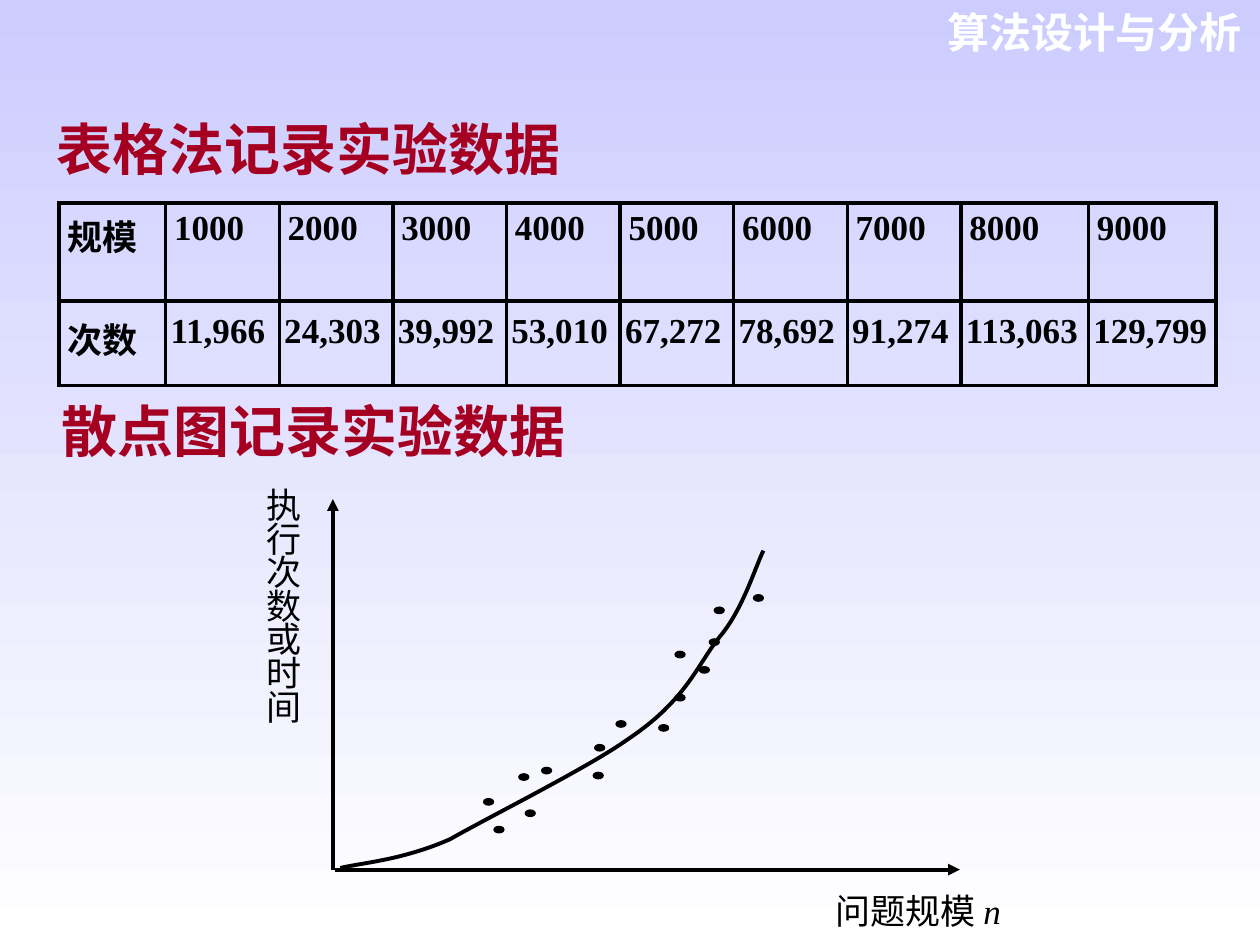
import pptx
import pptx.util
import pptx.dml.color
import pptx.enum.shapes
import pptx.enum.text
import pptx.oxml
import pptx.oxml.ns
from pptx.util import Cm

# Content
COLORS = {"black": "000000", "red": "A50021", "white": "FFFFFF", "lavender": "CCCCFF"}
SANS, SERIF = "Arial", "Times New Roman"
COURSE = "算法设计与分析"
HEADINGS = [("表格法记录实验数据", 0.89, 2.18), ("散点图记录实验数据", 0.99, 7.85)]
TABLE_ROWS = [
    ["规模", "1000", "2000", "3000", "4000", "5000", "6000", "7000", "8000", "9000"],
    ["次数", "11,966", "24,303", "39,992", "53,010", "67,272", "78,692", "91,274",
     "113,063", "129,799"],
]
Y_LABEL = "执行次数或时间"

# Geometry in centimetres
COLUMN_WIDTHS = [2.15] + [2.29] * 7 + [2.57] * 2
ROW_HEIGHTS = [1.98, 1.70]
ROW_TOP_MARGINS = [0.13, 0.23]
ROW_LEFT_MARGINS = [0.17, 0.10]
AXES = [(6.76, 17.53, 19.35, 17.53), (6.71, 17.53, 6.71, 10.06)]
DOT_WIDTH, DOT_HEIGHT = 0.20, 0.13
DOTS = [(9.96, 16.66), (9.75, 16.10), (12.42, 14.53), (10.59, 16.33), (11.96, 15.57),
        (13.28, 14.61), (13.61, 14.00), (13.61, 13.13), (14.40, 12.24), (15.19, 11.99),
        (14.30, 12.88), (14.10, 13.44), (10.92, 15.47), (10.46, 15.60), (11.99, 15.01)]
CURVE_START = (6.86, 17.50)
CURVE_SEGMENTS = [  # two control points and an end point each
    ((7.24, 17.40), (8.10, 17.35), (9.07, 16.92)),
    ((10.03, 16.38), (11.86, 15.47), (12.65, 14.91)),
    ((13.84, 14.12), (14.05, 13.41), (14.50, 12.85)),
    ((14.96, 12.32), (15.21, 11.48), (15.39, 11.10)),
]
CURVE_STEPS = 16


def color(name):
    return pptx.dml.color.RGBColor.from_string(COLORS[name])


def add_run(paragraph, text, size, font=SANS, color_name="black", bold=False, italic=False):
    run = paragraph.add_run()
    run.text = text
    run.font.size = pptx.util.Pt(size)
    run.font.name = font
    run.font.bold = bold
    run.font.italic = italic
    run.font.color.rgb = color(color_name)


def add_text_frame(slide, left, top, width, height, margins=(0.25, 0.13)):
    frame = slide.shapes.add_textbox(Cm(left), Cm(top), Cm(width), Cm(height)).text_frame
    frame.word_wrap = True
    frame.margin_left = frame.margin_right = Cm(margins[0])
    frame.margin_top = frame.margin_bottom = Cm(margins[1])
    return frame


def set_line(shape, width=2.25):
    shape.line.color.rgb = color("black")
    shape.line.width = pptx.util.Pt(width)


def add_borders(cell):
    properties = cell._tc.get_or_add_tcPr()
    for index, side in enumerate(("lnL", "lnR", "lnT", "lnB")):
        properties.insert(index, pptx.oxml.parse_xml(
            f'<a:{side} {pptx.oxml.ns.nsdecls("a")} w="{pptx.util.Pt(2.25)}"><a:solidFill>'
            f'<a:srgbClr val="{COLORS["black"]}"/></a:solidFill></a:{side}>'))


def add_data_table(slide):
    table = slide.shapes.add_table(
        len(TABLE_ROWS), len(COLUMN_WIDTHS), Cm(1.19), Cm(4.09),
        Cm(sum(COLUMN_WIDTHS)), Cm(sum(ROW_HEIGHTS))).table
    table.first_row = table.horz_banding = False
    for column, width in zip(table.columns, COLUMN_WIDTHS):
        column.width = Cm(width)
    for row_index, texts in enumerate(TABLE_ROWS):
        table.rows[row_index].height = Cm(ROW_HEIGHTS[row_index])
        for column_index, text in enumerate(texts):
            cell = table.cell(row_index, column_index)
            cell.fill.background()
            cell.margin_left = Cm(ROW_LEFT_MARGINS[row_index if column_index else 0])
            cell.margin_right = cell.margin_bottom = Cm(0)
            cell.margin_top = Cm(ROW_TOP_MARGINS[row_index])
            add_run(cell.text_frame.paragraphs[0], text, 20, SERIF, bold=True)
            add_borders(cell)


def add_axis(slide, start_x, start_y, end_x, end_y):
    axis = slide.shapes.add_connector(
        pptx.enum.shapes.MSO_CONNECTOR.STRAIGHT,
        Cm(start_x), Cm(start_y), Cm(end_x), Cm(end_y))
    set_line(axis)
    namespace = pptx.oxml.ns.nsdecls("a")
    axis.line._get_or_add_ln().append(
        pptx.oxml.parse_xml(f'<a:tailEnd {namespace} type="triangle"/>'))
    axis._element.spPr.append(pptx.oxml.parse_xml(f"<a:effectLst {namespace}/>"))


def curve_points():
    start = CURVE_START
    for first, second, end in CURVE_SEGMENTS:
        for step in range(1, CURVE_STEPS + 1):
            t = step / CURVE_STEPS
            yield tuple(
                Cm((1 - t) ** 3 * a + 3 * (1 - t) ** 2 * t * b + 3 * (1 - t) * t ** 2 * c
                   + t ** 3 * d)
                for a, b, c, d in zip(start, first, second, end))
        start = end


def add_scatter_sketch(slide):
    for axis in AXES:
        add_axis(slide, *axis)

    # Vertical axis label, one character per line
    frame = add_text_frame(slide, 5.38, 9.91, 0.89, 7.49, margins=(0, 0))
    for index, character in enumerate(Y_LABEL):
        paragraph = frame.add_paragraph() if index else frame.paragraphs[0]
        paragraph.line_spacing = 0.8
        add_run(paragraph, character, 20)

    # Sample points
    for left, top in DOTS:
        dot = slide.shapes.add_shape(pptx.enum.shapes.MSO_SHAPE.OVAL, Cm(left), Cm(top),
                                     Cm(DOT_WIDTH), Cm(DOT_HEIGHT))
        dot.shadow.inherit = False
        dot.fill.solid()
        dot.fill.fore_color.rgb = color("black")
        set_line(dot, 0.75)

    # Fitted curve
    builder = slide.shapes.build_freeform(*(Cm(value) for value in CURVE_START))
    builder.add_line_segments(list(curve_points()), close=False)
    curve = builder.convert_to_shape()
    curve.shadow.inherit = False
    curve.fill.background()
    set_line(curve)

    # Horizontal axis label
    paragraph = add_text_frame(slide, 16.59, 17.81, 4.50, 1.12).paragraphs[0]
    add_run(paragraph, "问题规模 ", 20)
    add_run(paragraph, "n", 20, SERIF, italic=True)


def main():
    presentation = pptx.Presentation()
    presentation.slide_width, presentation.slide_height = Cm(25.4), Cm(19.05)
    slide = presentation.slides.add_slide(presentation.slide_layouts[6])

    # Background
    fill = slide.background.fill
    fill.gradient()
    fill.gradient_angle = 270
    for stop, name in zip(fill.gradient_stops, ("lavender", "white")):
        stop.color.rgb = color(name)

    # Course name and headings
    paragraph = add_text_frame(slide, 18.39, 0, 6.88, 1.27).paragraphs[0]
    paragraph.alignment = pptx.enum.text.PP_ALIGN.RIGHT
    add_run(paragraph, COURSE, 24, color_name="white", bold=True)
    for text, left, top in HEADINGS:
        frame = add_text_frame(slide, left, top, 10.92, 1.63)
        frame.vertical_anchor = pptx.enum.text.MSO_ANCHOR.MIDDLE
        add_run(frame.paragraphs[0], text, 32, color_name="red", bold=True)

    add_data_table(slide)
    add_scatter_sketch(slide)
    presentation.save("out.pptx")


if __name__ == "__main__":
    main()
